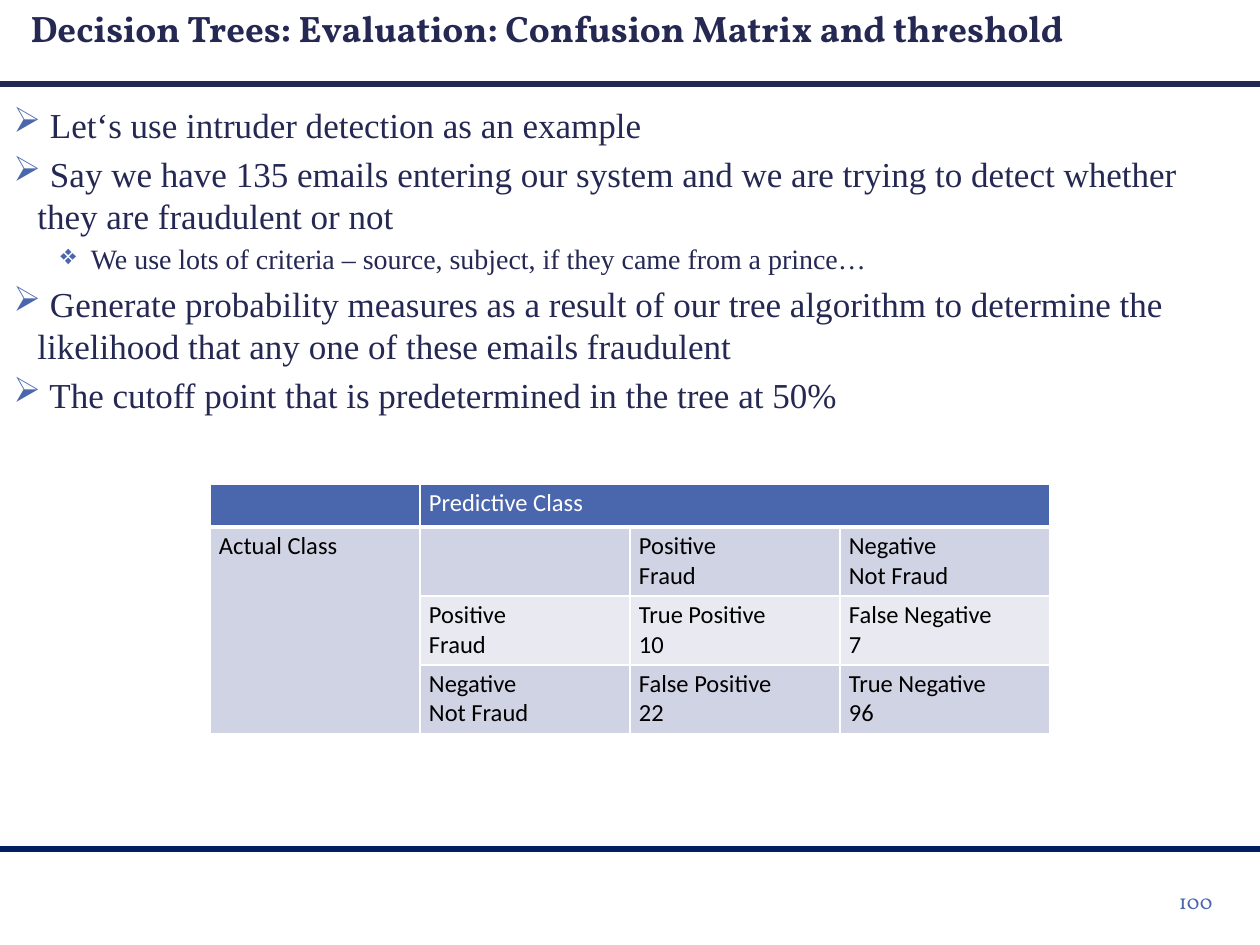
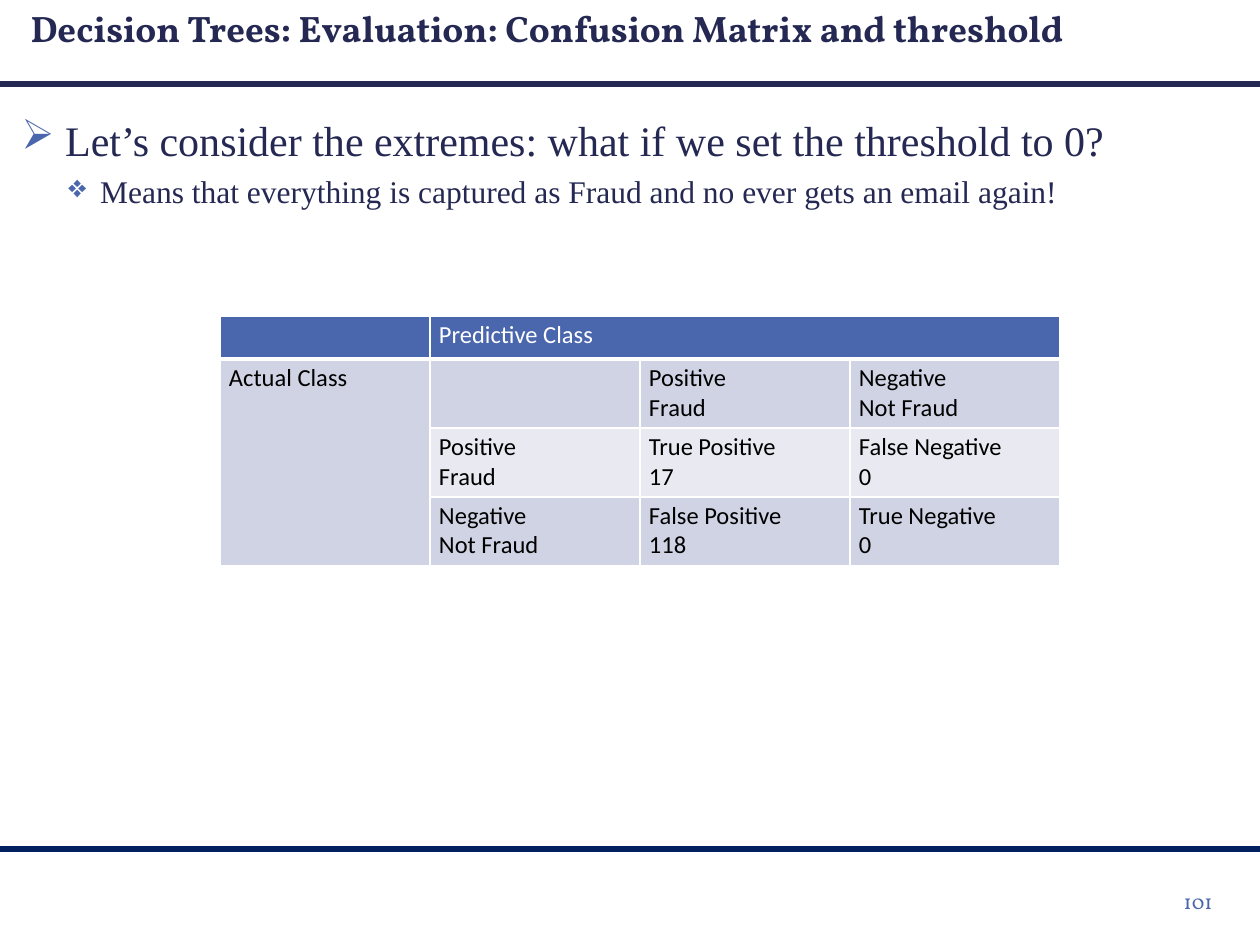
from dataclasses import dataclass

from lxml.etree import SubElement
from pptx import Presentation
from pptx.dml.color import RGBColor
from pptx.enum.shapes import MSO_CONNECTOR
from pptx.enum.text import MSO_ANCHOR, PP_ALIGN
from pptx.oxml.ns import qn
from pptx.util import Pt

EMU_PER_PX = 914400 / 126
SLIDE_WIDTH, SLIDE_HEIGHT = 1260, 945


def px(length):
    return round(length * EMU_PER_PX)


@dataclass(frozen=True)
class Theme:
    navy: str = "242852"
    footer_navy: str = "002060"
    blue: str = "4A66AC"
    white: str = "FFFFFF"
    black: str = "000000"
    band_dark: str = "D0D3E3"
    band_light: str = "E9EAF1"
    heading_font: str = "Vollkorn"
    body_font: str = "Times New Roman"
    table_font: str = "Calibri"
    title_size: int = 21
    number_size: int = 12
    table_size: int = 14
    rule_width: int = 3
    border_width: int = 1
    header_border_width: int = 3


TITLE = "Decision Trees: Evaluation: Confusion Matrix and threshold"
BULLETS = ("➢", "❖")
BULLET_MARGINS = (24, 71)
HANGING_INDENT = 24
TABLE_COLUMN_WIDTH = 210
TABLE_ROW_HEIGHTS = (43, 69, 69, 69)


class Deck:
    def __init__(self, theme):
        self.theme = theme
        self.presentation = Presentation()
        self.presentation.slide_width = px(SLIDE_WIDTH)
        self.presentation.slide_height = px(SLIDE_HEIGHT)
        self.slide = None

    def add_slide(self, number):
        """Start a slide with the shared rules, title and page number."""
        theme = self.theme
        self.slide = self.presentation.slides.add_slide(self.presentation.slide_layouts[6])
        self.rule(849, theme.footer_navy)
        self.rule(84, theme.navy)
        self.label(TITLE, (4, 0, 1086, 101), theme.title_size, theme.navy,
                   PP_ALIGN.CENTER, MSO_ANCHOR.TOP, bold=True)
        self.label(str(number), (941, 876, 284, 50), theme.number_size, theme.blue,
                   PP_ALIGN.RIGHT, MSO_ANCHOR.MIDDLE)

    def rule(self, top, color):
        """Draw a horizontal line across the whole slide."""
        connector = self.slide.shapes.add_connector(
            MSO_CONNECTOR.STRAIGHT, 0, px(top), px(SLIDE_WIDTH), px(top))
        connector.line.color.rgb = RGBColor.from_string(color)
        connector.line.width = Pt(self.theme.rule_width)
        SubElement(connector._element.spPr, qn("a:effectLst"))

    def text_frame(self, box):
        text_frame = self.slide.shapes.add_textbox(*map(px, box)).text_frame
        text_frame.word_wrap = True
        return text_frame

    def format_runs(self, paragraph, font_name, size, color, bold=False):
        for run in paragraph.runs:
            run.font.name = font_name
            run.font.size = Pt(size)
            run.font.bold = bold
            run.font.color.rgb = RGBColor.from_string(color)

    def label(self, text, box, size, color, alignment, anchor, bold=False):
        text_frame = self.text_frame(box)
        text_frame.vertical_anchor = anchor
        text_frame.text = text
        paragraph = text_frame.paragraphs[0]
        paragraph.alignment = alignment
        self.format_runs(paragraph, self.theme.heading_font, size, color, bold)

    def bullet_list(self, box, sizes, items):
        """Write (level, text) items; sizes holds one type size per level."""
        text_frame = self.text_frame(box)
        text_frame.text = "\n".join(f" {text}" for _, text in items)
        for index, (level, _) in enumerate(items):
            paragraph = text_frame.paragraphs[index]
            paragraph.level = level
            if index:
                paragraph.space_before = Pt(round(sizes[level] * 0.2))
            self.add_bullet(paragraph, level)
            self.format_runs(paragraph, self.theme.body_font, sizes[level], self.theme.navy)

    def add_bullet(self, paragraph, level):
        properties = paragraph._p.get_or_add_pPr()
        properties.set("marL", str(px(BULLET_MARGINS[level])))
        properties.set("indent", str(-px(HANGING_INDENT)))
        bullet_color = SubElement(properties, qn("a:buClr"))
        SubElement(bullet_color, qn("a:srgbClr"), val=self.theme.blue)
        SubElement(properties, qn("a:buChar"), char=BULLETS[level])

    def confusion_matrix(self, left, top, counts):
        """Draw the table; counts holds the two rows of actual classes."""
        (true_positive, false_negative), (false_positive, true_negative) = counts
        positive, negative = "Positive\nFraud", "Negative\nNot Fraud"
        rows = (
            ("", "Predictive Class", "", ""),
            ("Actual Class", "", positive, negative),
            ("", positive, f"True Positive\n{true_positive}", f"False Negative\n{false_negative}"),
            ("", negative, f"False Positive\n{false_positive}", f"True Negative\n{true_negative}"),
        )
        column_count = len(rows[0])
        table = self.slide.shapes.add_table(
            len(rows), column_count, px(left), px(top),
            px(TABLE_COLUMN_WIDTH * column_count), px(sum(TABLE_ROW_HEIGHTS))).table
        table.first_row = table.horz_banding = False
        for column in table.columns:
            column.width = px(TABLE_COLUMN_WIDTH)
        for row, height in zip(table.rows, TABLE_ROW_HEIGHTS):
            row.height = px(height)

        table.cell(0, 1).merge(table.cell(0, 3))
        table.cell(1, 0).merge(table.cell(3, 0))
        for row_index, row in enumerate(rows):
            for column_index, text in enumerate(row):
                self.style_cell(table.cell(row_index, column_index), text,
                                row_index, column_index)

    def style_cell(self, cell, text, row_index, column_index):
        theme = self.theme
        is_header = row_index == 0
        if is_header:
            fill = theme.blue
        elif row_index == 2 and column_index:
            fill = theme.band_light
        else:
            fill = theme.band_dark
        cell.margin_left = cell.margin_right = px(9)
        cell.margin_top = cell.margin_bottom = px(4)
        self.add_borders(cell, theme.header_border_width if is_header else theme.border_width)
        cell.fill.solid()
        cell.fill.fore_color.rgb = RGBColor.from_string(fill)
        cell.text_frame.text = text
        for paragraph in cell.text_frame.paragraphs:
            self.format_runs(paragraph, theme.table_font, theme.table_size,
                             theme.white if is_header else theme.black)
            if not text:
                SubElement(paragraph._p, qn("a:endParaRPr"), sz=str(theme.table_size * 100))

    def add_borders(self, cell, bottom_width):
        properties = cell._tc.get_or_add_tcPr()
        for side in "LRTB":
            width = bottom_width if side == "B" else self.theme.border_width
            line = SubElement(properties, qn(f"a:ln{side}"), w=str(Pt(width)))
            solid_fill = SubElement(line, qn("a:solidFill"))
            SubElement(solid_fill, qn("a:srgbClr"), val=self.theme.white)


def main():
    deck = Deck(Theme())

    deck.add_slide(100)
    deck.confusion_matrix(210, 484, ((10, 7), (22, 96)))
    deck.bullet_list((1, 97, 1216, 324), (20, 16), (
        (0, "Let‘s use intruder detection as an example"),
        (0, "Say we have 135 emails entering our system and we are trying to detect "
            "whether they are fraudulent or not"),
        (1, "We use lots of criteria – source, subject, if they came from a prince…"),
        (0, "Generate probability measures as a result of our tree algorithm to determine "
            "the likelihood that any one of these emails fraudulent"),
        (0, "The cutoff point that is predetermined in the tree at 50%"),
    ))

    deck.add_slide(101)
    deck.confusion_matrix(220, 316, ((17, 0), (118, 0)))
    deck.bullet_list((9, 108, 1200, 76), (24, 18), (
        (0, "Let’s consider the extremes: what if we set the threshold to 0?"),
        (1, "Means that everything is captured as Fraud and no ever gets an email again!"),
    ))

    deck.presentation.save("out.pptx")


if __name__ == "__main__":
    main()
